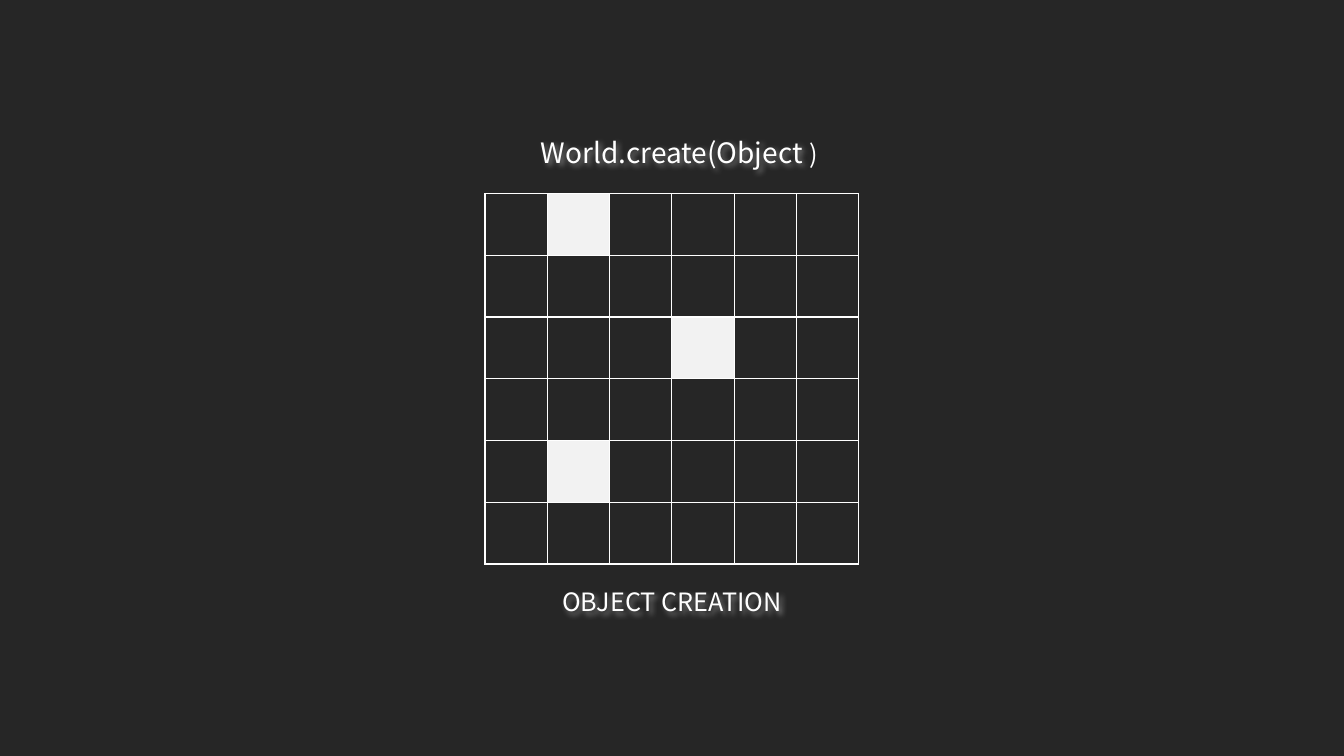
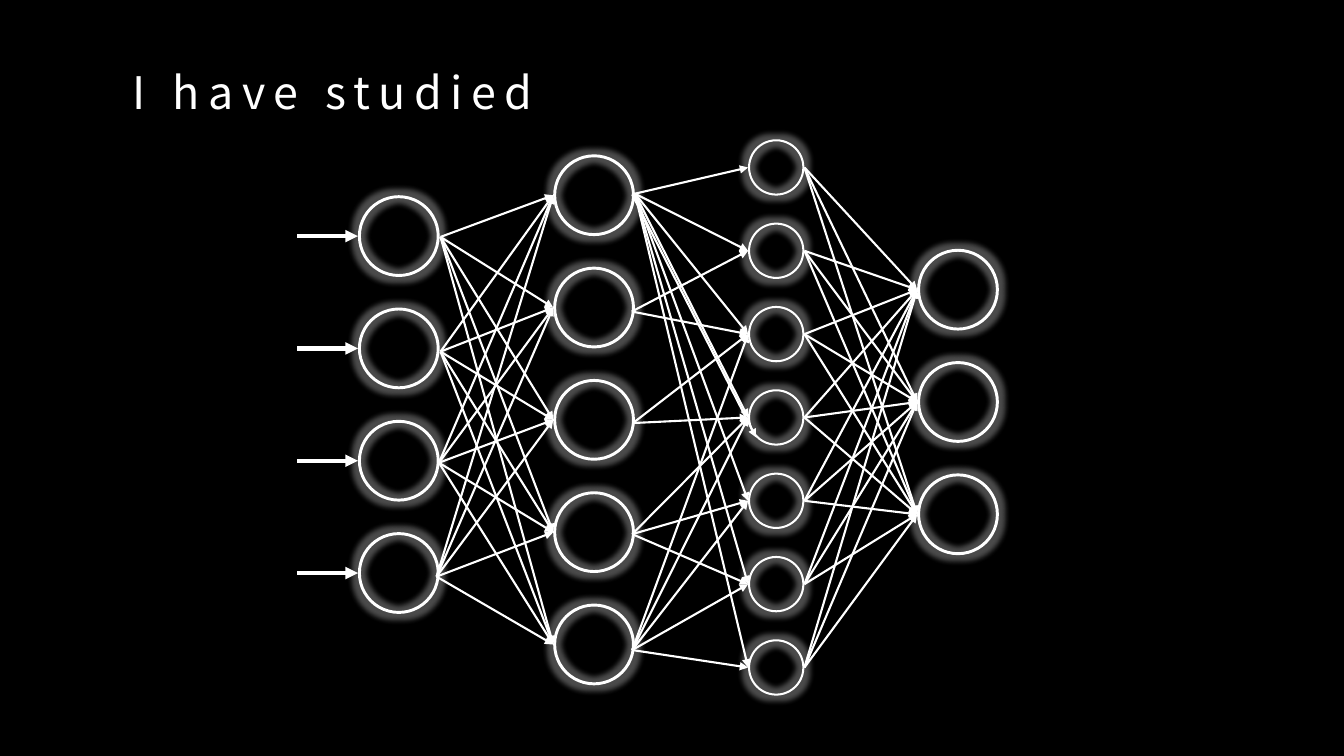
import pptx
import pptx.dml.color
import pptx.enum.shapes
import pptx.enum.text
import pptx.oxml
import pptx.oxml.ns
import pptx.util
from pptx.util import Cm, Pt

WHITE = "FFFFFF"
CHARCOAL = "262626"
BLACK = "000000"
ALIVE = "F2F2F2"
FONT = "Noto Sans CJK SC"
NS = pptx.oxml.ns.nsdecls("a")


def color(value):
    return pptx.dml.color.RGBColor.from_string(value)


def paint(fill, value):
    fill.solid()
    fill.fore_color.rgb = color(value)


def write(frame, text, size=18, align="LEFT", spacing=0):
    frame.word_wrap = True
    frame.auto_size = pptx.enum.text.MSO_AUTO_SIZE.SHAPE_TO_FIT_TEXT
    paragraph = frame.paragraphs[0]
    paragraph.alignment = getattr(pptx.enum.text.PP_ALIGN, align)
    run = paragraph.add_run()
    run.text = text
    run.font.size = Pt(size)
    run.font.name = FONT
    run.font.color.rgb = color(WHITE)
    if spacing:
        run._r.get_or_add_rPr().set("spc", str(spacing * 100))


class Deck:
    def __init__(self):
        self.presentation = pptx.Presentation()
        self.presentation.slide_width = pptx.util.Inches(13.333)
        self.presentation.slide_height = pptx.util.Inches(7.5)
        self.slide = None

    def new_slide(self, background):
        self.slide = self.presentation.slides.add_slide(self.presentation.slide_layouts[6])
        paint(self.slide.background.fill, background)

    def effect(self, shape, kind, attributes, opacity):
        shape.shadow.inherit = False
        effects = shape._element.spPr.find(pptx.oxml.ns.qn("a:effectLst"))
        effects.append(pptx.oxml.parse_xml(
            f'<a:{kind} {NS} {attributes}><a:srgbClr val="{WHITE}">'
            f'<a:alpha val="{opacity * 1000}"/></a:srgbClr></a:{kind}>'))

    def text(self, left, top, width, height, text, halo=False, **style):
        box = self.slide.shapes.add_textbox(Cm(left), Cm(top), Cm(width), Cm(height))
        write(box.text_frame, text, **style)
        if halo:
            self.effect(box, "outerShdw",
                        f'blurRad="{Pt(4)}" dist="{Pt(2)}" dir="2700000"', 40)

    def grid(self, left, top, size, cell_width, cell_height, alive):
        table = self.slide.shapes.add_table(
            size, size, Cm(left), Cm(top), Cm(size * cell_width), Cm(size * cell_height)).table
        table.first_row = False
        table.horz_banding = False
        for column in table.columns:
            column.width = Cm(cell_width)
        for row in table.rows:
            row.height = Cm(cell_height)
        for row in range(size):
            for column in range(size):
                cell = table.cell(row, column)
                properties = cell._tc.get_or_add_tcPr()
                for side in "LRTB":
                    properties.append(pptx.oxml.parse_xml(
                        f'<a:ln{side} {NS} w="{Pt(1)}"><a:solidFill>'
                        f'<a:srgbClr val="{WHITE}"/></a:solidFill></a:ln{side}>'))
                paint(cell.fill, ALIVE if (row, column) in alive else CHARCOAL)

    def neuron(self, left, top, size):
        ring = self.slide.shapes.add_shape(
            pptx.enum.shapes.MSO_SHAPE.DONUT, Cm(left), Cm(top), Cm(size), Cm(size))
        ring.adjustments[0] = 0.036
        paint(ring.fill, WHITE)
        ring.line.fill.background()
        self.effect(ring, "glow", f'rad="{Pt(8)}"', 30)

    def arrow(self, start, end, width=1.5):
        link = self.slide.shapes.add_connector(
            pptx.enum.shapes.MSO_CONNECTOR.STRAIGHT, *map(Cm, (*start, *end)))
        link.line.width = Pt(width)
        paint(link.line.fill, WHITE)
        link.line._get_or_add_ln().append(
            pptx.oxml.parse_xml(f'<a:tailEnd {NS} type="triangle"/>'))
        link._element.spPr.append(pptx.oxml.parse_xml(f"<a:effectLst {NS}/>"))


def object_creation(deck):
    deck.new_slide(CHARCOAL)
    deck.grid(12.22, 4.88, 6, 1.57, 1.555, {(0, 1), (2, 3), (4, 1)})
    deck.text(8.46, 3.28, 16.94, 1.11, "World.create(Object", halo=True, size=20, align="CENTER")
    deck.text(20.14, 3.35, 0.64, 1.03, ")")
    deck.text(8.46, 14.66, 16.94, 1.03, "OBJECT CREATION", halo=True, align="CENTER")


def neural_network(deck):
    deck.new_slide(BLACK)
    deck.text(3.1, 1.5, 10.85, 1.62, "I have studied", size=32, spacing=6)

    layers = [
        (9.02, 4.92, 2.06, 2.83, 4),
        (13.94, 3.89, 2.06, 2.83, 5),
        (18.85, 3.51, 1.42, 2.1, 7),
        (23.11, 6.27, 2.06, 2.83, 3),
    ]
    entries = []
    for left, top, size, pitch, count in layers:
        tops = [top + index * pitch for index in range(count)]
        for neuron_top in tops:
            deck.neuron(left, neuron_top, size)
        entries.append([(left, neuron_top + size / 2) for neuron_top in tops])

    exits = [
        [(11.1, 5.97), (11.1, 8.86), (11.06, 11.66), (11, 14.53)],
        [(16, 4.88), (15.92, 7.85), (15.95, 10.66), (15.93, 13.46), (15.93, 16.38)],
        [(20.27, y) for _, y in entries[2]],
    ]
    targets = [
        [range(5)] * 4,
        [range(7), (1, 2), (2, 3), (3, 4, 5), range(2, 7)],
        [range(3)] * 7,
    ]
    for x, y in entries[0]:
        deck.arrow((x - 1.53, y), (x, y), width=3)
    for starts, reached, ends in zip(exits, targets, entries[1:]):
        for start, indexes in zip(starts, reached):
            for index in indexes:
                deck.arrow(start, ends[index])
    deck.arrow((15.93, 4.9), (19.05, 11.02))


def main():
    deck = Deck()
    object_creation(deck)
    neural_network(deck)
    deck.presentation.save("out.pptx")


if __name__ == "__main__":
    main()
